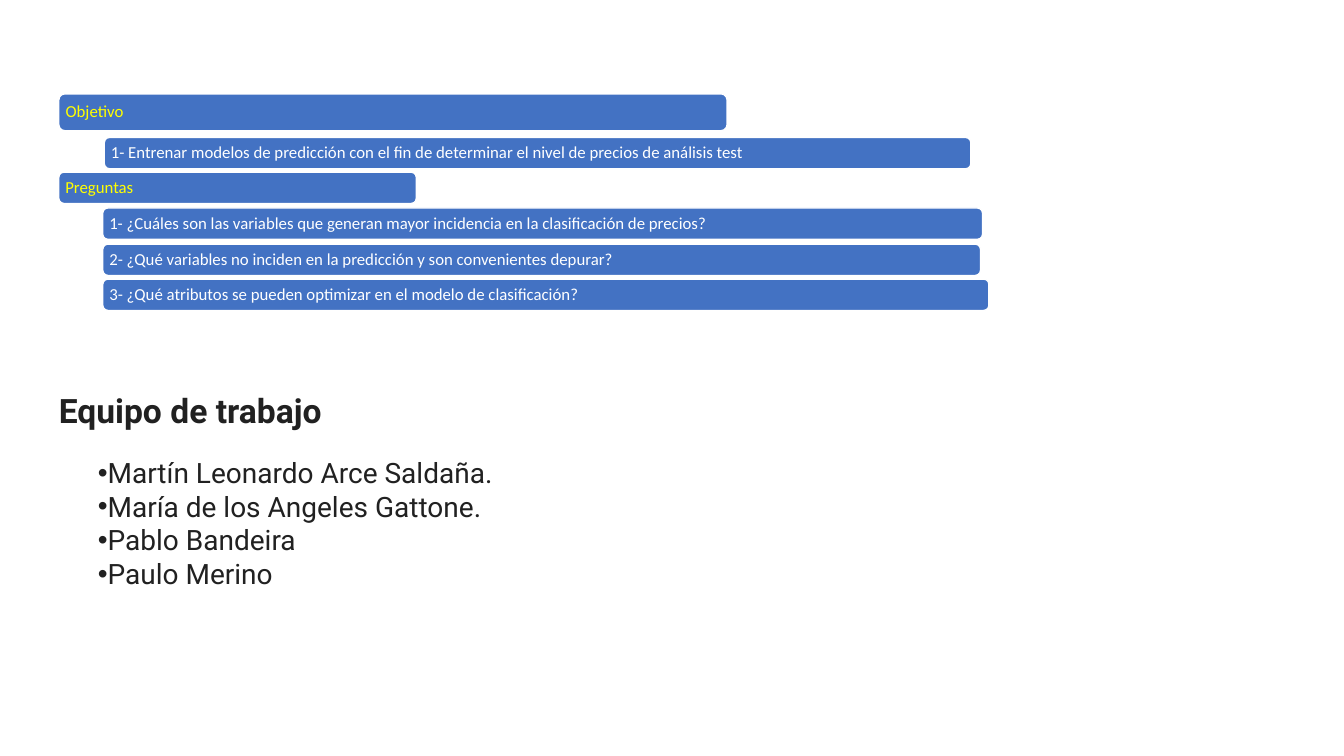
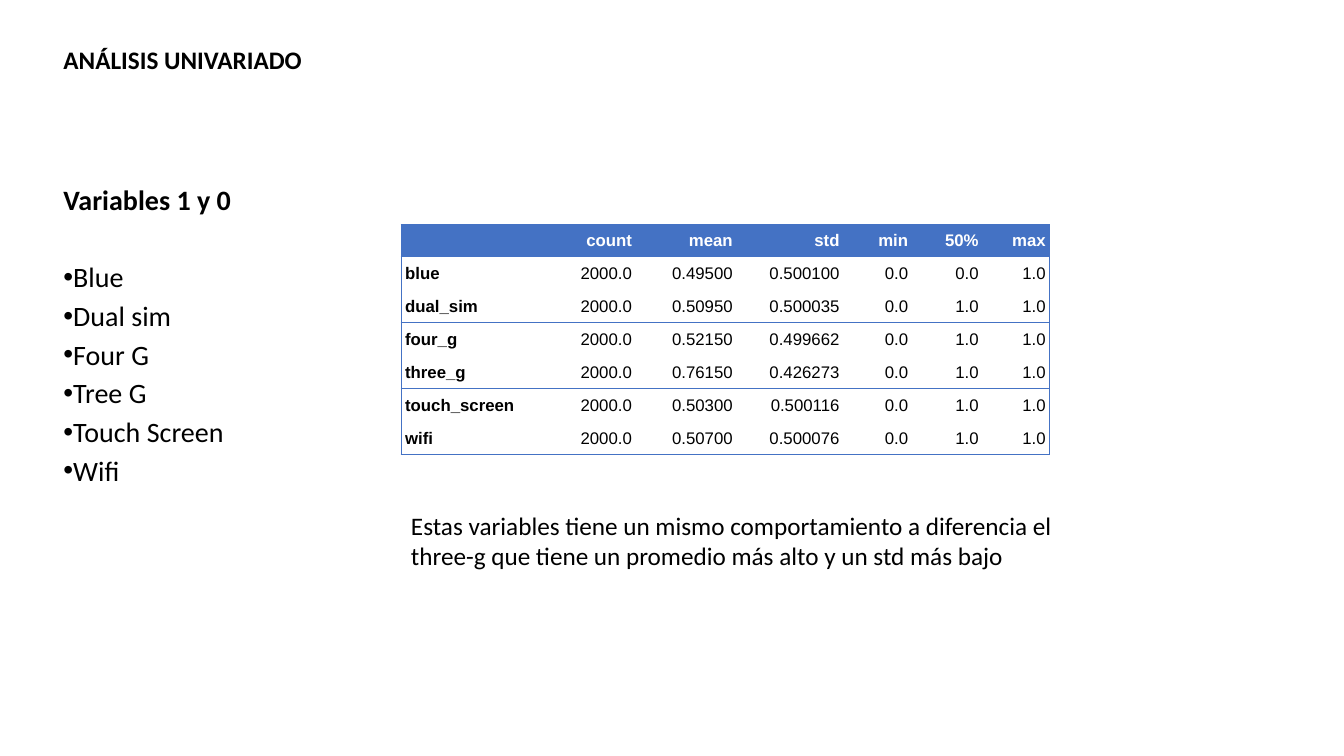
from dataclasses import dataclass
from lxml.etree import SubElement
from pptx import Presentation
from pptx.dml.color import RGBColor
from pptx.enum.shapes import MSO_SHAPE
from pptx.enum.text import MSO_ANCHOR, PP_ALIGN
from pptx.oxml.ns import qn
from pptx.slide import Slide
from pptx.util import Pt

HUES = {
    "bar": "4372C3",
    "grid": "4472C4",
    "white": "FFFFFF",
    "head": "FFFF00",
    "ink": "212121",
    "black": "000000",
}


@dataclass(frozen=True)
class Style:
    face: str
    size: float
    hue: str
    bold: bool = False


@dataclass(frozen=True)
class Line:
    text: str
    style: Style
    bullet: bool = False
    before: float = 0
    pitch: float = 1.0


@dataclass(frozen=True)
class Bar:
    text: str
    left: float
    top: float
    width: float
    height: float = 22.4
    hue: str = "white"


TITLE = Style("Calibri", 18, "black", True)
NOTE = Style("Calibri", 18, "black")
LABEL = Style("Calibri", 20, "black", True)
ITEM = Style("Calibri", 20, "black")
TEAM = Style("Roboto", 24, "ink", True)
MEMBER = Style("Roboto", 20, "ink")

BARS = [
    Bar("Objetivo", 42, 67, 477.4, 26.4, "head"),
    Bar("1- Entrenar modelos de predicción con el fin de determinar el nivel de precios de análisis test",
        74.5, 98.2, 619),
    Bar("Preguntas", 42, 123, 255.4, hue="head"),
    Bar("1- ¿Cuáles son las variables que generan mayor incidencia en la clasificación de precios?",
        73.4, 148.6, 628.5),
    Bar("2- ¿Qué variables no inciden en la predicción y son convenientes depurar?",
        73.4, 174.4, 627),
    Bar("3- ¿Qué atributos se pueden optimizar en el modelo de clasificación?",
        73.4, 199.4, 633),
]
NAMES = ["Martín Leonardo Arce Saldaña.", "María de los Angeles Gattone.",
         "Pablo Bandeira", "Paulo Merino"]
ITEMS = ["Blue", "Dual sim", "Four G", "Tree G", "Touch Screen", "Wifi"]
STATS = [
    ["", "count", "mean", "std", "min", "50%", "max"],
    ["blue", "2000.0", "0.49500", "0.500100", "0.0", "0.0", "1.0"],
    ["dual_sim", "2000.0", "0.50950", "0.500035", "0.0", "1.0", "1.0"],
    ["four_g", "2000.0", "0.52150", "0.499662", "0.0", "1.0", "1.0"],
    ["three_g", "2000.0", "0.76150", "0.426273", "0.0", "1.0", "1.0"],
    ["touch_screen", "2000.0", "0.50300", "0.500116", "0.0", "1.0", "1.0"],
    ["wifi", "2000.0", "0.50700", "0.500076", "0.0", "1.0", "1.0"],
]
WIDTHS = [100.1, 67.7, 72, 76.3, 49, 50.4, 47.9]


def color(name: str) -> RGBColor:
    return RGBColor.from_string(HUES[name])


def set_font(para, style: Style) -> None:
    font = para.font
    font.name, font.size, font.bold = style.face, Pt(style.size), style.bold
    font.color.rgb = color(style.hue)


def add_dot(para, hue: str) -> None:
    props = para._p.get_or_add_pPr()
    props.set("marL", "0")
    props.set("indent", "0")
    tint = SubElement(props, qn("a:buClr"))
    SubElement(tint, qn("a:srgbClr")).set("val", HUES[hue])
    SubElement(props, qn("a:buFont")).set("typeface", "Arial")
    SubElement(props, qn("a:buChar")).set("char", "•")


def add_text(slide: Slide, left: float, top: float, width: float,
             height: float, lines: list[Line]) -> None:
    frame = slide.shapes.add_textbox(
        Pt(left), Pt(top), Pt(width), Pt(height)).text_frame
    frame.word_wrap = True
    for at, line in enumerate(lines):
        para = frame.add_paragraph() if at else frame.paragraphs[0]
        para.text = line.text
        para.line_spacing = line.pitch
        para.space_before = Pt(line.before)
        if line.bullet:
            add_dot(para, line.style.hue)
        set_font(para, line.style)


def add_bar(slide: Slide, bar: Bar) -> None:
    shape = slide.shapes.add_shape(
        MSO_SHAPE.ROUNDED_RECTANGLE,
        Pt(bar.left), Pt(bar.top), Pt(bar.width), Pt(bar.height))
    shape.shadow.inherit = False
    shape.fill.solid()
    shape.fill.fore_color.rgb = color("bar")
    shape.line.color.rgb = color("white")
    shape.line.width = Pt(1)
    frame = shape.text_frame
    frame.word_wrap = True
    frame.vertical_anchor = MSO_ANCHOR.MIDDLE
    frame.margin_left = frame.margin_right = Pt(3.6)
    frame.margin_top = frame.margin_bottom = Pt(0)
    para = frame.paragraphs[0]
    para.text = bar.text
    para.alignment = PP_ALIGN.LEFT
    para.line_spacing = 0.9
    set_font(para, Style("Calibri", 12, bar.hue))


def set_edges(cell, edges: dict[str, bool]) -> None:
    props = cell._tc.get_or_add_tcPr()
    for at, (side, shown) in enumerate(edges.items()):
        edge = SubElement(props, qn(f"a:ln{side}"))
        edge.set("w", str(Pt(0.75)))
        if shown:
            fill = SubElement(edge, qn("a:solidFill"))
            SubElement(fill, qn("a:srgbClr")).set("val", HUES["grid"])
        else:
            SubElement(edge, qn("a:noFill"))
        props.insert(at, edge)


def add_stats(slide: Slide, left: float, top: float) -> None:
    rows, cols = len(STATS), len(WIDTHS)
    table = slide.shapes.add_table(
        rows, cols, Pt(left), Pt(top), Pt(sum(WIDTHS)), Pt(164.6)).table
    table.first_row = table.horz_banding = False
    for col, width in zip(table.columns, WIDTHS):
        col.width = Pt(width)
    for r, row in enumerate(STATS):
        table.rows[r].height = Pt(23.6 if r else 23)
        for c, text in enumerate(row):
            cell = table.cell(r, c)
            cell.vertical_anchor = MSO_ANCHOR.MIDDLE
            cell.margin_left = cell.margin_right = Pt(2.9)
            cell.margin_top = cell.margin_bottom = Pt(1.4)
            if r:
                cell.fill.background()
            else:
                cell.fill.solid()
                cell.fill.fore_color.rgb = color("grid")
            # Rules frame the table and part each pair of rows
            set_edges(cell, {"L": c == 0, "R": c == cols - 1,
                             "T": r == 0 or r % 2 == 1, "B": r % 2 == 0})
            para = cell.text_frame.paragraphs[0]
            para.text = text
            para.alignment = PP_ALIGN.RIGHT if c else PP_ALIGN.LEFT
            set_font(para, Style("Arial", 12, "black" if r else "white",
                                 r == 0 or c == 0))


def add_goals(slide: Slide) -> None:
    # Goal and questions
    for bar in BARS:
        add_bar(slide, bar)
    # Team
    add_text(slide, 34.9, 275, 480, 36, [Line("Equipo de trabajo", TEAM)])
    add_text(slide, 62.8, 322, 480, 104.4,
             [Line(name, MEMBER, bullet=True) for name in NAMES])


def add_study(slide: Slide) -> None:
    # Title
    add_text(slide, 38.2, 28.2, 480, 29, [Line("ANÁLISIS UNIVARIADO", TITLE)])
    # Variables
    lines = [Line("Variables 1 y 0", LABEL, pitch=0.9)]
    for at, item in enumerate(ITEMS):
        lines.append(Line(item, ITEM, True, 6 if at else 33.5, 0.9))
    add_text(slide, 38.2, 129.6, 183.6, 294.5, lines)
    # Figures and remark
    add_stats(slide, 286.5, 160.4)
    add_text(slide, 286.5, 360.8, 472.3, 51, [Line(
        "Estas variables tiene un mismo comportamiento a diferencia el three-g "
        "que tiene un promedio más alto y un std más bajo", NOTE)])


def main() -> None:
    deck = Presentation()
    deck.slide_width, deck.slide_height = Pt(960), Pt(540)
    for build in (add_goals, add_study):
        build(deck.slides.add_slide(deck.slide_layouts[6]))
    deck.save("out.pptx")


if __name__ == "__main__":
    main()
